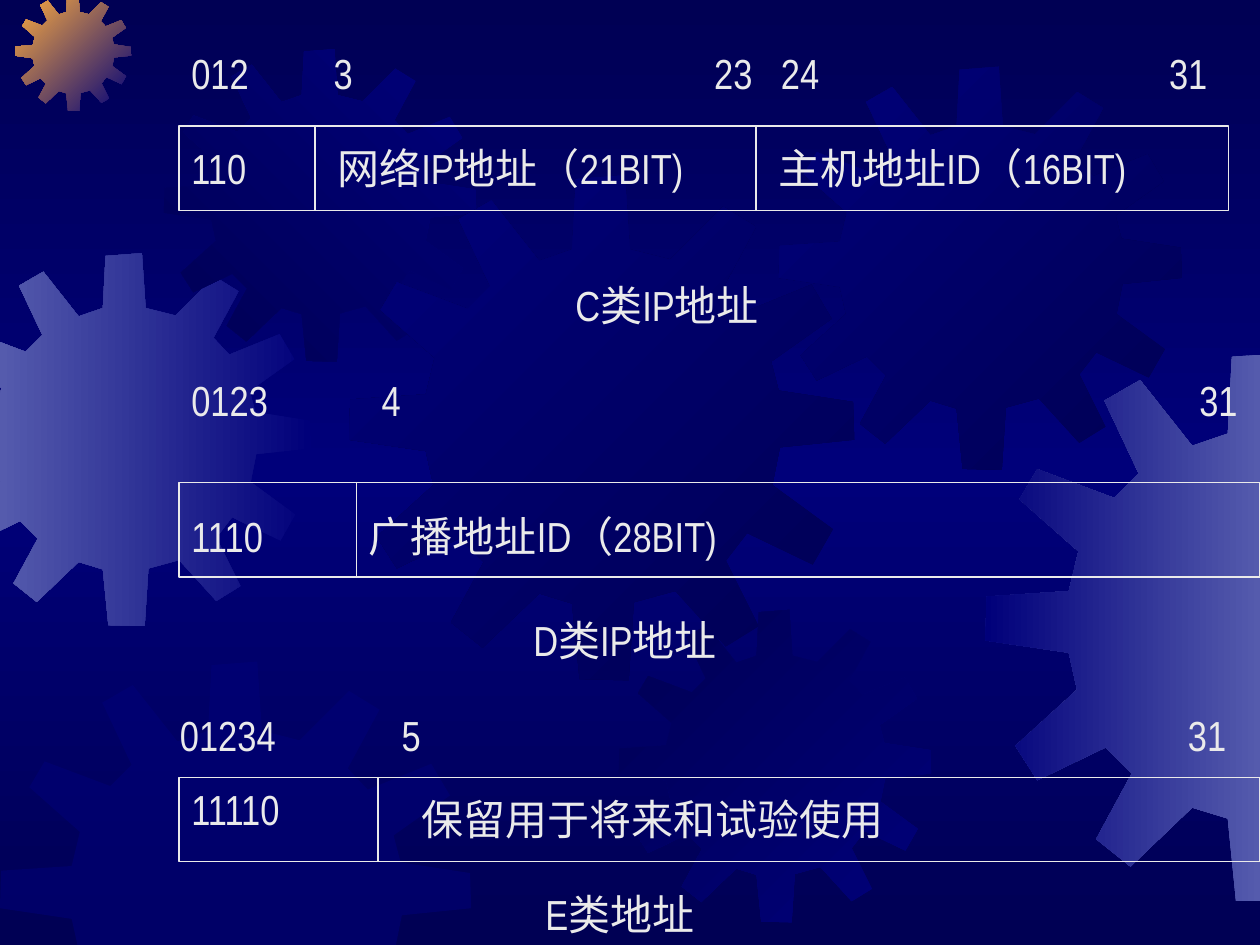
"""Build the slide that shows the layouts of class C, D and E IP addresses."""
import copy
from typing import NamedTuple

import lxml.etree
import pptx
import pptx.dml.color
import pptx.dml.fill
import pptx.enum.shapes
import pptx.enum.text
import pptx.oxml.ns
import pptx.shapes.base
import pptx.slide
import pptx.util

Inches = pptx.util.Inches
qn = pptx.oxml.ns.qn
Point = tuple[float, float]

WIDTH, HEIGHT = 10, 7.5
DARK, NAVY, LAVENDER, ORANGE, PALE = "000054", "00007A", "555BAD", "FCAB40", "EAEAEA"
OUTLINE_SIZE = 4.01
OUTLINE: list[Point] = [
    (2.55, 0.67), (2.23, 0.59), (2.19, 0), (1.8, 0.03), (1.77, 0.59), (1.51, 0.68),
    (1.13, 0.2), (0.87, 0.35), (1.12, 0.88), (0.94, 1.06), (0.38, 0.85), (0.25, 1.07),
    (0.68, 1.45), (0.61, 1.74), (0.01, 1.78), (0, 2.1), (0.61, 2.19), (0.67, 2.46),
    (0.22, 2.87), (0.38, 3.12), (0.88, 2.88), (1.07, 3.07), (0.81, 3.55), (1.06, 3.75),
    (1.51, 3.32), (1.77, 3.4), (1.83, 4), (2.22, 4.01), (2.26, 3.39), (2.59, 3.3),
    (2.99, 3.74), (3.25, 3.58), (2.99, 3.06), (3.16, 2.84), (3.68, 3.09), (3.84, 2.81),
    (3.36, 2.46), (3.42, 2.16), (4.01, 2.1), (4, 1.8), (3.41, 1.71), (3.35, 1.48),
    (3.83, 1.14), (3.67, 0.87), (3.13, 1.09), (2.96, 0.91), (3.23, 0.41), (2.97, 0.25),
]


class Gear(NamedTuple):
    """A gear with its fill; without an end colour it is half transparent."""
    left: float
    top: float
    size: float
    start: str
    end: str | None = None
    angle: float = 0


class Label(NamedTuple):
    """A line of text with optional tab stops."""
    text: str
    left: float
    top: float
    width: float
    tabs: tuple[float, ...] = ()
    centred: bool = False


class AddressFormat(NamedTuple):
    """An address box, its divider and its labels."""
    top: float
    width: float
    height: float
    dividers: tuple[float, ...]
    labels: tuple[Label, ...]


GEARS = [
    Gear(-0.49, 2.01, 2.96, NAVY, LAVENDER, 180),
    Gear(0.12, -0.04, 0.92, NAVY, ORANGE, 135),
    Gear(1.3, 0.39, 2.48, NAVY, DARK, 225),
    Gear(2.77, 1.39, 4.01, DARK, NAVY, 135),
    Gear(0, 5.25, 3.74, NAVY),
    Gear(4.91, 4.84, 2.48, NAVY, DARK, 135),
    Gear(6.18, 0.53, 3.2, DARK, NAVY, 135),
    Gear(7.82, 2.8, 4.36, LAVENDER, NAVY, 180),
]
BOX_LEFT = 1.42
FORMATS = [
    AddressFormat(1, 8.33, 0.67, (2.5, 6), (
        Label("110", 1.42, 1.08, 1),
        Label("网络IP地址（21BIT)", 2.58, 1.08, 3.77),
        Label("主机地址ID（16BIT)", 6.08, 1.08, 3.58),
        Label("012\t3\t23\t24\t31", 1.42, 0.33, 8.33, (1.13, 4.15, 4.68, 7.76)),
        Label("C类IP地址", 2.42, 2.17, 5.75, centred=True))),
    AddressFormat(3.83, 8.58, 0.75, (2.83,), (
        Label("1110", 1.42, 4, 1.42),
        Label("广播地址ID（28BIT)", 2.83, 4, 3.25),
        Label("0123\t4\t31", 1.42, 2.92, 8.58, (1.51, 8)),
        Label("D类IP地址", 2.92, 4.83, 4.08, centred=True))),
    AddressFormat(6.17, 8.58, 0.67, (3,), (
        Label("11110", 1.42, 6.17, 1.58),
        Label("保留用于将来和试验使用", 3.25, 6.25, 5.6),
        Label("01234\t5\t31", 1.33, 5.58, 8.67, (1.76, 8)),
        Label("E类地址", 2.92, 7, 4, centred=True))),
]


def rgb(value: str) -> pptx.dml.color.RGBColor:
    """Return the colour for a hex string."""
    return pptx.dml.color.RGBColor.from_string(value)


def set_gradient(fill: pptx.dml.fill.FillFormat, start: str, end: str, angle: float) -> None:
    """Give a fill a two-colour linear gradient."""
    fill.gradient()
    fill.gradient_angle = angle
    for stop, color, position in zip(fill.gradient_stops, (start, end), (0, 1)):
        stop.color.rgb = rgb(color)
        stop.position = position


def set_background(s: pptx.slide.Slide) -> None:
    """Shade the background from dark to navy and back."""
    fill = s.background.fill
    set_gradient(fill, DARK, NAVY, 270)
    stops = s.element.find(".//" + qn("a:gsLst"))
    stops[1].set("pos", "50000")
    stops.append(copy.deepcopy(stops[0]))
    stops[2].set("pos", "100000")


def clip(points: list[Point], axis: int, limit: float, sign: int) -> list[Point]:
    """Cut a polygon at a horizontal or vertical limit."""
    kept = []
    for a, b in zip(points[-1:] + points[:-1], points):
        a_in, b_in = (sign * (q[axis] - limit) >= 0 for q in (a, b))
        if a_in != b_in:
            t = (limit - a[axis]) / (b[axis] - a[axis])
            kept.append((a[0] + t * (b[0] - a[0]), a[1] + t * (b[1] - a[1])))
        if b_in:
            kept.append(b)
    return kept


def draw_gear(s: pptx.slide.Slide, gear: Gear) -> None:
    """Draw the part of a gear that lies on the slide."""
    scale = gear.size / OUTLINE_SIZE
    points = [(gear.left + x * scale, gear.top + y * scale) for x, y in OUTLINE]
    for axis, limit, sign in ((0, 0, 1), (0, WIDTH, -1), (1, 0, 1), (1, HEIGHT, -1)):
        points = clip(points, axis, limit, sign)
    first, *rest = [(Inches(x), Inches(y)) for x, y in points]
    builder = s.shapes.build_freeform(*first)
    builder.add_line_segments(rest)
    sp = builder.convert_to_shape()
    sp.shadow.inherit = False
    sp.line.fill.background()
    if gear.end:
        set_gradient(sp.fill, gear.start, gear.end, gear.angle)
    else:
        sp.fill.solid()
        sp.fill.fore_color.rgb = rgb(gear.start)
        color = sp.element.spPr.find(qn("a:solidFill"))[0]
        lxml.etree.SubElement(color, qn("a:alpha"), val="50000")


def draw_label(s: pptx.slide.Slide, label: Label) -> None:
    """Draw one line of text."""
    sp = s.shapes.add_textbox(Inches(label.left), Inches(label.top), Inches(label.width), Inches(0.5))
    tf = sp.text_frame
    tf.word_wrap = True
    tf.auto_size = pptx.enum.text.MSO_AUTO_SIZE.SHAPE_TO_FIT_TEXT
    tf.text = label.text
    p = tf.paragraphs[0]
    if label.centred:
        p.alignment = pptx.enum.text.PP_ALIGN.CENTER
    if label.tabs:
        tabs = lxml.etree.SubElement(p._p.get_or_add_pPr(), qn("a:tabLst"))
        for position in label.tabs:
            lxml.etree.SubElement(tabs, qn("a:tab"), pos=str(Inches(position)), algn="l")
    for r in p.runs:
        r.font.name = "Arial Narrow"
        r.font.size = pptx.util.Pt(24)
        r.font.color.rgb = rgb(PALE)


def set_line(sp: pptx.shapes.base.BaseShape) -> None:
    """Give a box or divider its thin pale line."""
    sp.line.color.rgb = rgb(PALE)
    sp.line.width = pptx.util.Pt(0.75)


def draw_format(s: pptx.slide.Slide, fmt: AddressFormat) -> None:
    """Draw an address box with its dividers and labels."""
    top, bottom = Inches(fmt.top), Inches(fmt.top + fmt.height)
    box = s.shapes.add_shape(pptx.enum.shapes.MSO_SHAPE.RECTANGLE, Inches(BOX_LEFT), top,
                             Inches(fmt.width), Inches(fmt.height))
    box.shadow.inherit = False
    box.fill.background()
    set_line(box)
    for x in fmt.dividers:
        divider = s.shapes.add_connector(pptx.enum.shapes.MSO_CONNECTOR.STRAIGHT,
                                         Inches(x), top, Inches(x), bottom)
        set_line(divider)
        lxml.etree.SubElement(divider.element.spPr, qn("a:effectLst"))
    for label in fmt.labels:
        draw_label(s, label)


def main() -> None:
    """Build and save the slide."""
    prs = pptx.Presentation()
    prs.slide_width, prs.slide_height = Inches(WIDTH), Inches(HEIGHT)
    s = prs.slides.add_slide(prs.slide_layouts[6])
    set_background(s)
    for gear in GEARS:
        draw_gear(s, gear)
    for fmt in FORMATS:
        draw_format(s, fmt)
    prs.save("out.pptx")


if __name__ == "__main__":
    main()
